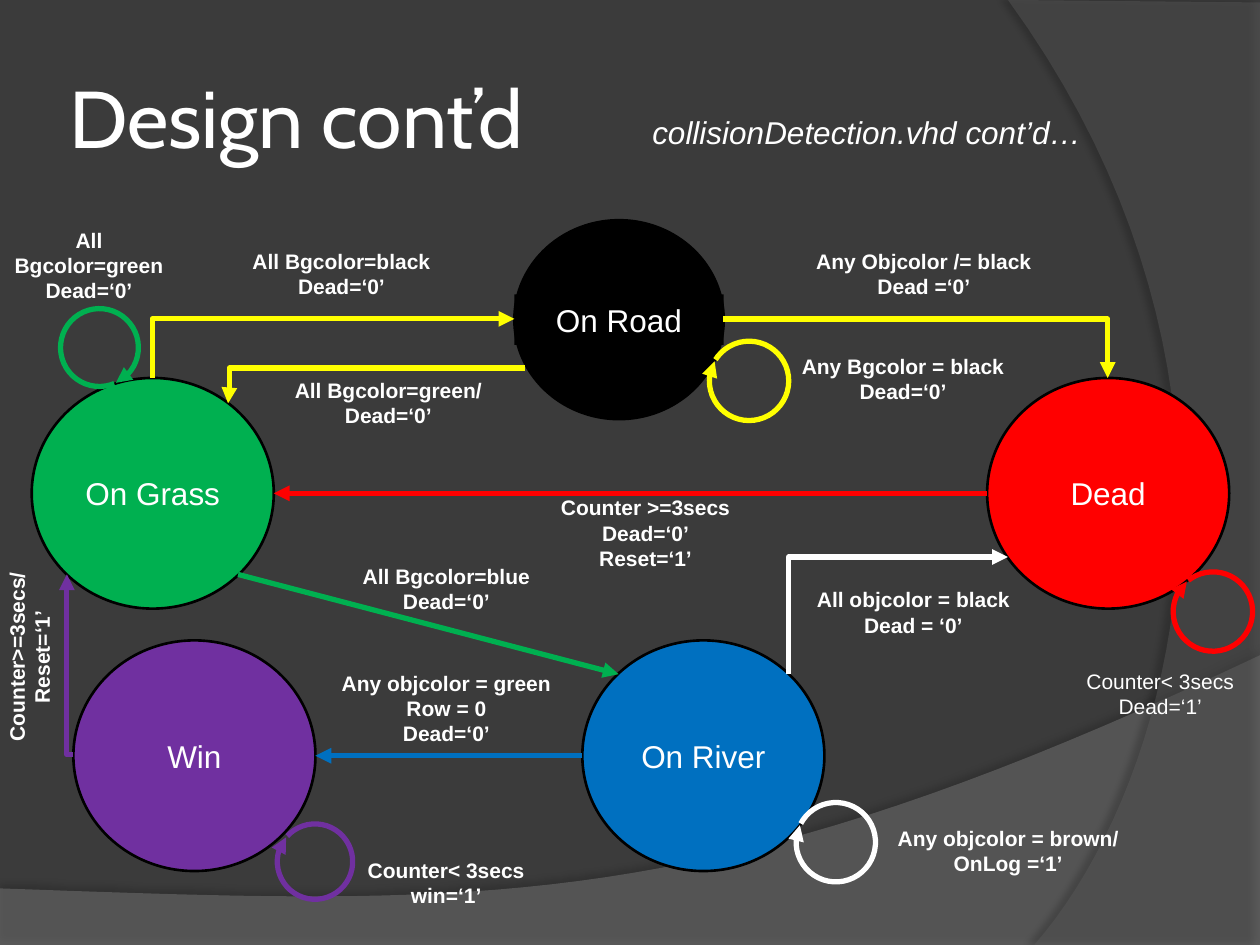
from lxml.etree import SubElement
from pptx import Presentation
from pptx.dml.color import RGBColor
from pptx.enum.shapes import MSO_CONNECTOR as Link, MSO_SHAPE as Shape
from pptx.enum.text import MSO_ANCHOR as Anchor, MSO_AUTO_SIZE as AutoSize, PP_ALIGN as Align
from pptx.oxml.ns import qn
from pptx.util import Cm, Pt

GREEN, YELLOW, RED = "00B050", "FFFF00", "FF0000"
PURPLE, BLUE, WHITE, BLACK = "7030A0", "0070C0", "FFFFFF", "000000"


def rgb(value):
    return RGBColor.from_string(value)


def add_text(text, left, top, width, height, size=12, bold=False, italic=False,
             font="Arial", align=Align.CENTER, rotation=0, inset=0.25):
    box = page.shapes.add_textbox(Cm(left), Cm(top), Cm(width), Cm(height))
    box.rotation = rotation
    frame = box.text_frame
    frame.word_wrap = True
    frame.auto_size = AutoSize.NONE
    frame.vertical_anchor = Anchor.MIDDLE
    frame.margin_left = frame.margin_right = Cm(inset)
    frame.margin_top = frame.margin_bottom = Cm(0.13)
    frame.text = text
    for para in frame.paragraphs:
        para.alignment = align
        for span in para.runs:
            span.font.name = font
            span.font.size = Pt(size)
            span.font.bold = bold
            span.font.italic = italic
            span.font.color.rgb = rgb(WHITE)
    return box


deck = Presentation()
deck.slide_width, deck.slide_height = Cm(25.4), Cm(19.05)
page = deck.slides.add_slide(deck.slide_layouts[6])
page.background.fill.solid()
page.background.fill.fore_color.rgb = rgb("3B3B3B")

# Curved background panels: corners, then a Bezier curve from the last corner
panels = [
    ([(0, 17.91), (0, 19.05), (25.4, 19.05), (25.4, 13.21)],
     [(14.2, 18.52), (9.93, 18.26), (0, 17.91)], "7F7F7F", 45, 35, 3.5, 270),
    ([(25.4, 0.05), (25.4, 19.05), (20.85, 19.05)],
     [(23.75, 15.72), (25.86, 7.62), (20.32, 0)], "5E5E5E", 40, 45, 4, 180),
]
STEPS = 40
for corners, controls, colour, opacity, shade, distance, direction in panels:
    points = list(corners)
    bezier = [corners[-1]] + controls
    for step in range(1, STEPS + 1):
        t = step / STEPS
        weights = [(1 - t) ** 3, 3 * t * (1 - t) ** 2, 3 * t * t * (1 - t), t ** 3]
        points.append(tuple(sum(w * p[axis] for w, p in zip(weights, bezier))
                            for axis in (0, 1)))
    points = [(Cm(x), Cm(y)) for x, y in points]
    builder = page.shapes.build_freeform(*points[0])
    builder.add_line_segments(points[1:], close=True)
    panel = builder.convert_to_shape()
    panel.fill.solid()
    panel.fill.fore_color.rgb = rgb(colour)
    panel.line.fill.background()
    panel.shadow.inherit = False
    properties = panel._element.spPr
    fill_colour = properties.find(qn("a:solidFill"))[0]
    SubElement(fill_colour, qn("a:alpha"), val=str(opacity * 1000))
    shadow = SubElement(properties.find(qn("a:effectLst")), qn("a:outerShdw"),
                        blurRad=str(Pt(4)), dist=str(Pt(distance)),
                        dir=str(direction * 60000), rotWithShape="0")
    shadow_colour = SubElement(shadow, qn("a:srgbClr"), val=BLACK)
    SubElement(shadow_colour, qn("a:alpha"), val=str(shade * 1000))

# States: ellipse with a centred name
LABEL_HEIGHT = 1.02
states = [
    ("On Grass", 0.64, 7.62, 4.88, 4.65, GREEN),
    ("On Road", 10.37, 4.44, 4.22, 4.01, BLACK),
    ("Dead", 19.9, 7.62, 4.88, 4.65, RED),
    ("Win", 1.48, 12.91, 4.88, 4.65, PURPLE),
    ("On River", 11.74, 12.91, 4.88, 4.65, BLUE),
]
labels = {}
for name, left, top, width, height, colour in states:
    state = page.shapes.add_shape(Shape.OVAL, Cm(left), Cm(top), Cm(width), Cm(height))
    state.shadow.inherit = False
    state.fill.solid()
    state.fill.fore_color.rgb = rgb(colour)
    state.line.color.rgb = rgb(BLACK)
    state.line.width = Pt(1.5)
    labels[name] = add_text(name, left, top + (height - LABEL_HEIGHT) / 2,
                            width, LABEL_HEIGHT, size=18)
labels["On Road"].fill.solid()
labels["On Road"].fill.fore_color.rgb = rgb(BLACK)

arrows = []  # (shape, colour), styled together below

# Straight transitions between the sides of two state names
for source, target, colour in [("Dead", "On Grass", RED), ("On River", "Win", BLUE)]:
    arrow = page.shapes.add_connector(Link.STRAIGHT, 0, 0, 0, 0)
    arrow.begin_connect(labels[source], 1)
    arrow.end_connect(labels[target], 3)
    arrows.append((arrow, colour))
arrow = page.shapes.add_connector(Link.STRAIGHT, Cm(4.8), Cm(11.58), Cm(12.47), Cm(13.59))
arrows.append((arrow, GREEN))

# One-corner transitions; those leaving vertically are turned by 90 degrees
elbows = [
    (3.07, 7.62, 10.37, 6.43, True, YELLOW),
    (14.58, 6.43, 22.33, 7.62, False, YELLOW),
    (15.9, 13.59, 20.32, 11.23, True, WHITE),
    (1.48, 15.21, 1.35, 11.58, False, PURPLE),
]
for x1, y1, x2, y2, vertical, colour in elbows:
    middle_x, middle_y = (x1 + x2) / 2, (y1 + y2) / 2
    half_x, half_y = (x2 - x1) / 2, (y2 - y1) / 2
    if vertical:
        half_x, half_y = half_y, -half_x
    arrow = page.shapes.add_connector(
        Link.ELBOW, Cm(middle_x - half_x), Cm(middle_y - half_y),
        Cm(middle_x + half_x), Cm(middle_y + half_y))
    properties = arrow._element.spPr
    properties.find(qn("a:prstGeom")).set("prst", "bentConnector2")
    if vertical:
        properties.find(qn("a:xfrm")).set("rot", str(90 * 60000))
    arrows.append((arrow, colour))

# Return from road to grass, with its bend close to the end
arrow = page.shapes.add_connector(Link.ELBOW, Cm(10.59), Cm(7.42), Cm(4.6), Cm(8.13))
geometry = arrow._element.spPr.find(qn("a:prstGeom"))
SubElement(geometry.find(qn("a:avLst")), qn("a:gd"), name="adj1", fmla="val 99600")
arrows.append((arrow, YELLOW))

# Self loops
loops = [
    (23.65, 11.53, 1.6, 57.4, RED),
    (14.3, 6.88, 1.6, 38, YELLOW),
    (5.59, 16.61, 1.52, 48.4, PURPLE),
    (1.22, 6.22, 1.57, 253.3, GREEN),
    (16.05, 16.18, 1.6, 33.7, WHITE),
]
for left, top, size, rotation, colour in loops:
    loop = page.shapes.add_shape(Shape.ARC, Cm(left), Cm(top), Cm(size), Cm(size))
    loop.adjustments[0], loop.adjustments[1] = 104.6, 103.01
    loop.rotation = rotation
    loop.fill.background()
    arrows.append((loop, colour))

# Shared arrow style
for arrow, colour in arrows:
    arrow.line.color.rgb = rgb(colour)
    arrow.line.width = Pt(3)
    properties = arrow._element.spPr
    SubElement(properties.find(qn("a:ln")), qn("a:tailEnd"), type="triangle")
    SubElement(properties, qn("a:effectLst"))

# Conditions on the transitions
conditions = [
    ("All Bgcolor=black\nDead=‘0’", 4.45, 4.87, 4.87),
    ("All Bgcolor=green/\nDead=‘0’", 5.08, 7.47, 5.5),
    ("Any Objcolor /= black\nDead =‘0’", 15.45, 4.87, 6.35),
    ("Counter >=3secs\nDead=‘0’\nReset=‘1’", 10.37, 9.84, 5.29),
    ("All objcolor = black\nDead = ‘0’", 15.45, 11.7, 5.93),
    ("All Bgcolor=blue\nDead=‘0’", 6.14, 11.22, 5.72),
    ("Any objcolor = green\vRow = 0\nDead=‘0’", 6.14, 13.37, 5.72),
    ("Counter< 3secs\nwin=‘1’", 6.35, 17.15, 5.29),
    ("Any objcolor = brown/\nOnLog =‘1’", 17.15, 16.51, 6.35),
    ("Any Bgcolor = black\nDead=‘0’", 15.24, 6.99, 5.93),
    ("All\nBgcolor=green\nDead=‘0’", -0.64, 4.44, 4.87),
]
for text, left, top, width in conditions:
    lines = len(text.splitlines())
    add_text(text, left, top, width, 0.24 + 0.52 * lines, bold=True)
add_text("Counter< 3secs\nDead=‘1’", 20.11, 13.34, 6.56, 1.28)
add_text("Counter>=3secs/\nReset=‘1’", -2.06, 12.6, 5.29, 1.28, bold=True, rotation=270)

# Title and subtitle
add_text("Design cont’d", 1.27, 0.76, 20.75, 3.18, size=46, font="Cabin",
         align=Align.LEFT, inset=0.13)
add_text("collisionDetection.vhd cont’d…", 12.9, 2.16, 9.53, 1.02, size=18,
         italic=True, align=Align.LEFT)

deck.save("out.pptx")
